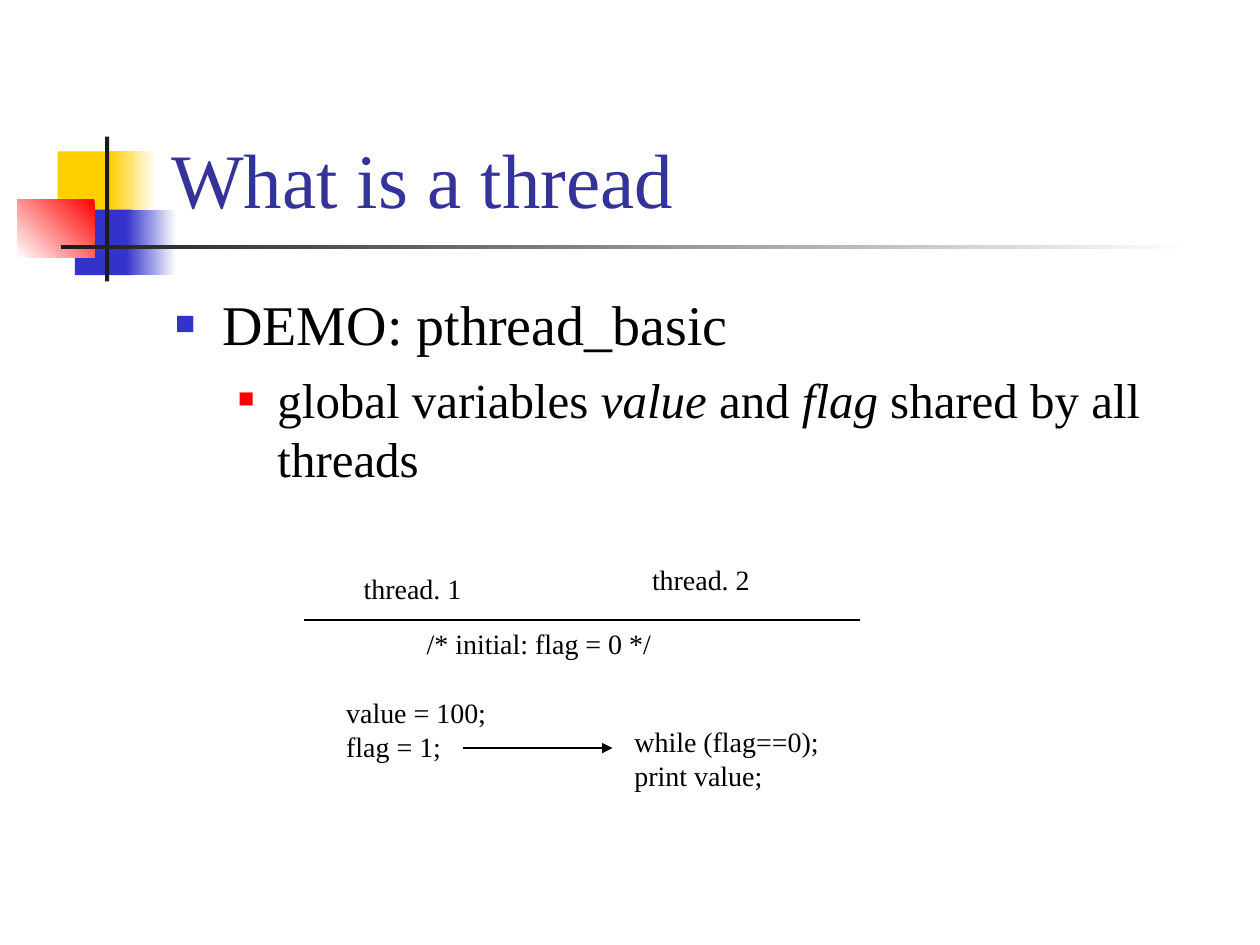
from lxml import etree
from pptx import Presentation
from pptx.dml.color import RGBColor
from pptx.enum.shapes import MSO_CONNECTOR, MSO_SHAPE
from pptx.enum.text import MSO_ANCHOR
from pptx.oxml.ns import qn
from pptx.util import Pt

RECTANGLE = MSO_SHAPE.RECTANGLE
STRAIGHT = MSO_CONNECTOR.STRAIGHT
TOP, BOTTOM = MSO_ANCHOR.TOP, MSO_ANCHOR.BOTTOM
FONT = "Times New Roman"
COLORS = {
    "white": "FFFFFF", "black": "000000", "yellow": "FFCF01", "blue": "3333CC",
    "red": "FF0000", "charcoal": "1C1C1C", "title": "333399",
}


def rgb(name):
    return RGBColor.from_string(COLORS[name])


def add_text(box, paragraphs, size, color="black", wrap=True, anchor=TOP):
    """Add a text box; each paragraph is a list of (text, italic) runs."""
    frame = slide.shapes.add_textbox(*map(Pt, box)).text_frame
    frame.word_wrap = wrap
    frame.vertical_anchor = anchor
    for index, runs in enumerate(paragraphs):
        paragraph = frame.paragraphs[0] if index == 0 else frame.add_paragraph()
        for text, italic in runs:
            run = paragraph.add_run()
            run.text = text
            run.font.color.rgb = rgb(color)
            for name, value in {"name": FONT, "size": Pt(size), "italic": italic}.items():
                setattr(run.font, name, value)
    return frame


presentation = Presentation()
presentation.slide_width, presentation.slide_height = Pt(720), Pt(540)
slide = presentation.slides.add_slide(presentation.slide_layouts[6])

# Title decoration: box, then a solid colour or (start, end, angle) of a gradient
decorations = [
    ((33, 86.5, 34.5, 37.5), "yellow"),
    ((63, 86.5, 26, 37.5), ("white", "yellow", 180)),
    ((42.75, 119.75, 33, 37.5), "blue"),
    ((72, 119.75, 28.75, 37.5), ("white", "blue", 180)),
    ((9.75, 113.75, 44.25, 33.5), ("red", "white", 225)),
    ((60, 78, 2.4, 82.75), "charcoal"),
    ((34.75, 140.1, 648, 2.5), ("white", "charcoal", 180)),
]
for box, paint in decorations:
    shape = slide.shapes.add_shape(RECTANGLE, *map(Pt, box))
    shape.shadow.inherit = False
    shape.line.fill.background()
    if isinstance(paint, str):
        shape.fill.solid()
        shape.fill.fore_color.rgb = rgb(paint)
        continue
    *ends, angle = paint
    shape.fill.gradient()
    shape.fill.gradient_angle = angle
    for stop, position, color in zip(shape.fill.gradient_stops, (0, 1), ends):
        stop.position = position
        stop.color.rgb = rgb(color)

add_text((90.75, 16.5, 613.5, 115.25), [[("What is a thread", False)]], 44, "title", anchor=BOTTOM)

# Bulleted body
body = add_text((93, 162, 612, 132), [
    [("DEMO: pthread_basic", False)],
    [("global variables ", False), ("value", True), (" and ", False),
     ("flag", True), (" shared by all threads", False)],
], 32)
bullets = [(0, 27, 27, "blue", 60, 32, 0), (1, 58.5, 22.5, "red", 55, 28, 7)]
for paragraph, bullet in zip(body.paragraphs, bullets):
    level, margin, hanging, color, percent, size, space = bullet
    paragraph.level = level
    paragraph.space_before = Pt(space)
    properties = paragraph._p.get_or_add_pPr()
    properties.set("marL", str(Pt(margin)))
    properties.set("indent", str(-Pt(hanging)))
    bullet_color = etree.SubElement(properties, qn("a:buClr"))
    etree.SubElement(bullet_color, qn("a:srgbClr"), val=COLORS[color])
    etree.SubElement(properties, qn("a:buSzPct"), val=str(percent * 1000))
    etree.SubElement(properties, qn("a:buFont"), typeface=FONT)
    etree.SubElement(properties, qn("a:buChar"), char="■")
    for run in paragraph.runs:
        run.font.size = Pt(size)

# Thread timeline
timeline_texts = [
    ((190.75, 394, 95, 46), ["value = 100;", "flag = 1;"], True),
    ((355.5, 410.75, 119.5, 46), ["while (flag==0);", "print value;"], False),
    ((200.75, 323.25, 70, 26.5), ["thread. 1"], False),
    ((365.5, 318, 70, 26.5), ["thread. 2"], False),
    ((236.75, 354.25, 142.5, 26.5), ["/* initial: flag = 0 */"], False),
]
for box, lines, wrap in timeline_texts:
    add_text(box, [[(line, False)] for line in lines], 16, wrap=wrap)

for left, right, y, arrow in [(174, 491.5, 354.25, False), (264.75, 350, 427.5, True)]:
    connector = slide.shapes.add_connector(STRAIGHT, Pt(left), Pt(y), Pt(right), Pt(y))
    connector.line.color.rgb = rgb("black")
    connector.line.width = Pt(0.75)
    etree.SubElement(connector._element.spPr, qn("a:effectLst"))
    if arrow:
        etree.SubElement(connector.line._get_or_add_ln(), qn("a:tailEnd"), type="triangle")

presentation.save("out.pptx")
